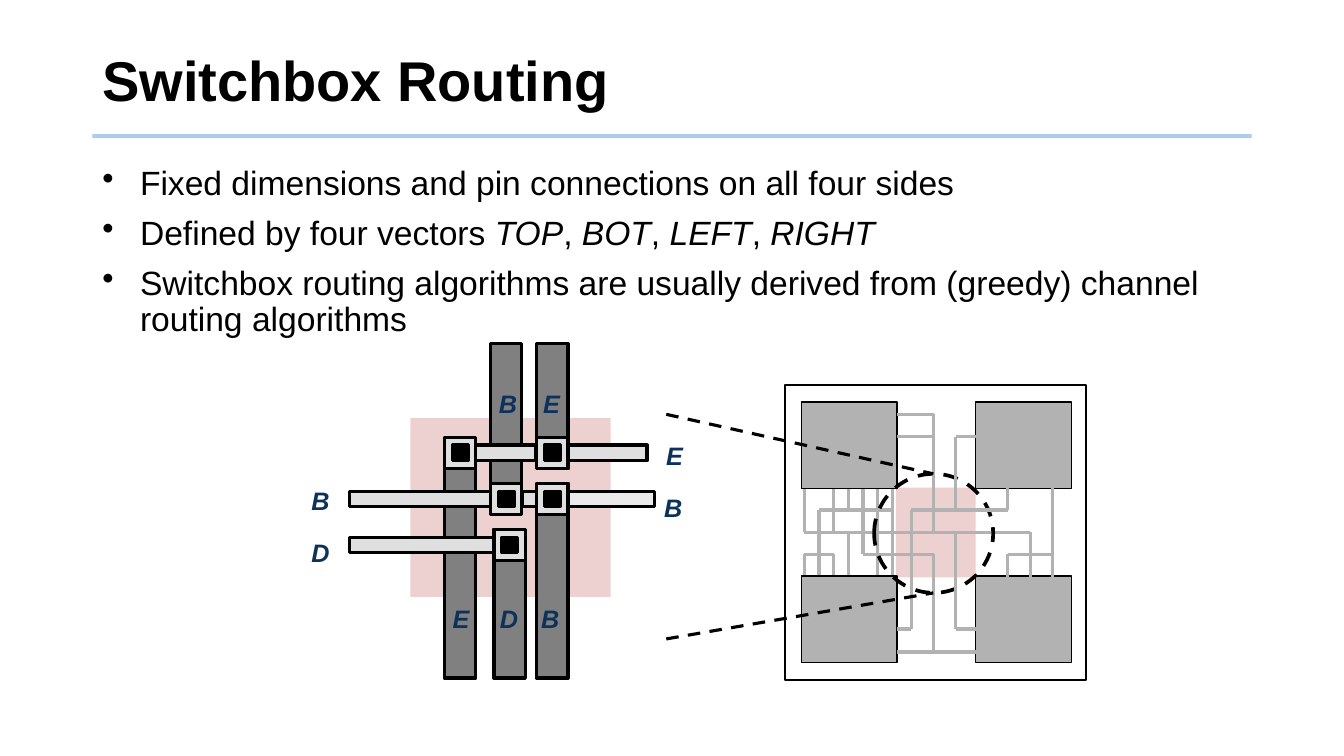
from itertools import pairwise, product

from pptx import Presentation
from pptx.dml.color import RGBColor
from pptx.enum.dml import MSO_LINE
from pptx.enum.shapes import MSO_CONNECTOR, MSO_SHAPE
from pptx.enum.text import MSO_ANCHOR as ANCHOR
from pptx.oxml.xmlchemy import OxmlElement
from pptx.util import Cm, Pt

BLACK = RGBColor(0x00, 0x00, 0x00)
RULE_BLUE = RGBColor(0x5B, 0x9B, 0xD5)
LABEL_BLUE = RGBColor(0x0C, 0x32, 0x5C)
PINK = RGBColor(0xED, 0xD1, 0xD1)
COLUMN_GRAY = RGBColor(0x80, 0x80, 0x80)
RAIL_GRAY = RGBColor(0xDF, 0xDF, 0xDF)
PALE_GRAY = RGBColor(0xEA, 0xEA, 0xEA)
WIRE_GRAY = RGBColor(0xB2, 0xB2, 0xB2)

BULLETS = [
    ["Fixed dimensions and pin connections on all four sides"],
    ["Defined by four vectors ", "TOP", ", ", "BOT", ", ", "LEFT", ", ", "RIGHT"],
    ["Switchbox routing algorithms are usually derived from (greedy) channel routing algorithms"],
]

LOCAL_ROUTES = [
    [(0, 6), (0, 5), (2, 5), (2, 6)],
    [(0, 2), (0, 4), (13, 4)],
    [(1, 6), (1, 3), (6, 3)],
    [(2, 4), (2, 2)],
    [(3, 3), (3, 2)],
    [(3, 4), (3, 6)],
    [(4, 2), (4, 5), (9, 5)],
    [(5, 2), (5, 6)],
    [(6, 2), (6, 6)],
]
GLOBAL_ROUTES = [
    [(7, 7), (8, 7), (8, 3), (12, 3), (12, 2)],
    [(10, 3), (10, 1), (11, 1)],
    [(9, 4), (9, 0), (7, 0)],
    [(9, 1), (7, 1)],
    [(9, 5), (9, 8)],
    [(7, 8), (11, 8)],
    [(10, 4), (10, 7), (11, 7)],
    [(13, 4), (13, 6)],
    [(12, 6), (12, 5), (14, 5)],
    [(14, 2), (14, 6)],
]


def add_bullet(paragraph):
    """Give a paragraph a hanging round bullet."""
    properties = paragraph._p.get_or_add_pPr()
    properties.set("marL", str(Cm(0.95)))
    properties.set("indent", str(-Cm(0.95)))
    bullet = OxmlElement("a:buChar")
    bullet.set("char", "•")
    properties.append(bullet)


def add_text(slide, box, paragraphs, size, color=BLACK, bold=False, italic=False,
             bullets=False, wrap=True, anchor=ANCHOR.TOP, spacing=None, inset=0.25):
    """Add a text box; every second run of a paragraph is italic."""
    frame = slide.shapes.add_textbox(*map(Cm, box)).text_frame
    frame.word_wrap = wrap
    frame.vertical_anchor = anchor
    frame.margin_left = frame.margin_right = Cm(inset)
    for index, runs in enumerate(paragraphs):
        paragraph = frame.add_paragraph() if index else frame.paragraphs[0]
        if bullets:
            add_bullet(paragraph)
        paragraph.line_spacing = spacing
        paragraph.space_before = Pt(10 if index else 0)
        for position, text in enumerate(runs):
            run = paragraph.add_run()
            run.text = text
            font = run.font
            font.name, font.size, font.bold = "Arial", Pt(size), bold
            font.italic = italic or position % 2 == 1
            font.color.rgb = color


def add_block(slide, box, fill=None, outline=None, kind=MSO_SHAPE.RECTANGLE, dash=None):
    """Add a flat shape; the outline is a width in points."""
    shape = slide.shapes.add_shape(kind, *map(Cm, box))
    shape.shadow.inherit = False
    if fill is None:
        shape.fill.background()
    else:
        shape.fill.solid()
        shape.fill.fore_color.rgb = fill
    if outline is None:
        shape.line.fill.background()
    else:
        shape.line.color.rgb = BLACK
        shape.line.width = Pt(outline)
        shape.line.dash_style = dash


def add_line(slide, start, end, color, width=2.25, dash=None):
    """Add a straight connector without a shadow."""
    connector = slide.shapes.add_connector(MSO_CONNECTOR.STRAIGHT, *map(Cm, (*start, *end)))
    connector.line.color.rgb = color
    connector.line.width = Pt(width)
    connector.line.dash_style = dash
    connector._element.spPr.append(OxmlElement("a:effectLst"))
    return connector


def add_heading(slide, left, top, width, height):
    """Place the title and the half-transparent rule under it."""
    rule_y = top + height - 0.08
    rule = add_line(slide, (left, rule_y), (left + width, rule_y), RULE_BLUE, 3)
    alpha = OxmlElement("a:alpha")
    alpha.set("val", "50000")
    rule._element.spPr.find(".//{*}srgbClr").append(alpha)
    add_text(slide, (left, top, width, height), [["Switchbox Routing"]], 40,
             bold=True, anchor=ANCHOR.MIDDLE, spacing=0.9)


def add_switchbox(slide, left, top, width, height):
    """Draw the enlarged switchbox with its columns, rails, vias and labels."""
    pad, core, inset = 0.79, 0.39, 0.2
    columns = [3.63 + 1.16 * index for index in range(3)]
    rows = [2.36 + 1.16 * index for index in range(3)]
    shifted = 4.88

    def block(x, y, block_width, block_height, fill, outline=2.5):
        add_block(slide, (left + x, top + y, block_width, block_height), fill, outline)

    block(2.77, 1.88, 5.05, 4.5, PINK, None)
    for x, start, end in [
        (shifted, rows[2], height), (columns[2], rows[1], height),
        (columns[2], 0, rows[0] + pad), (columns[1], 0, rows[1] + pad),
        (columns[0], rows[0], height),
    ]:
        block(x, start, pad, end - start, COLUMN_GRAY)
    for x, row, length, fill in [
        (1.24, 2, 3.96, RAIL_GRAY), (1.24, 1, 3.89, RAIL_GRAY),
        (5.59, 1, 0.38, RAIL_GRAY), (6.76, 1, 2.16, PALE_GRAY),
        (4.39, 0, 1.55, RAIL_GRAY), (6.73, 0, 2.01, RAIL_GRAY),
    ]:
        block(x, rows[row] + inset, length, core, fill)
    for x, row in [(columns[0], 0), (columns[2], 0), (columns[1], 1),
                   (columns[2], 1), (shifted, 2)]:
        block(x, rows[row], pad, pad, RAIL_GRAY)
        block(x + inset, rows[row] + inset, core, core, BLACK)
    for name, x, y in [
        ("B", 4.72, 0.99), ("E", 5.84, 0.99), ("E", width - 0.96, 2.31),
        ("B", width - 1.01, 3.61), ("B", 0, 3.45), ("D", 0, 4.75),
        ("E", 3.56, 6.43), ("D", 4.75, 6.43), ("B", 5.79, 6.43),
    ]:
        add_text(slide, (left + x, top + y, 0.97, 0.99), [[name]], 18, LABEL_BLUE,
                 bold=True, italic=True, wrap=False, inset=0.28)


def add_chip(slide, left, top, width, height):
    """Draw the chip with four macros, its wires and the marked switchbox."""
    tracks_x = [0.48 + 0.37 * index for index in range(7)]
    tracks_x += [2.82, 3.18, 3.74, 4.3, 4.84, 5.61, 6.17, 6.73]
    tracks_y = [0.74, 1.3, *(2.59 + 0.56 * index for index in range(5)), 6.15, 6.73]

    def draw_routes(routes):
        for route in routes:
            points = [(left + tracks_x[x], top + tracks_y[y]) for x, y in route]
            for start, end in pairwise(points):
                add_line(slide, start, end, WIRE_GRAY)

    add_block(slide, (left + 2.79, top + 2.59, 2.01, 2.26), PINK)
    draw_routes(LOCAL_ROUTES)
    for column, row in product(range(2), repeat=2):
        macro = (left + 0.41 + 4.39 * column, top + 0.43 + 4.39 * row, 2.41, 2.18)
        add_block(slide, macro, WIRE_GRAY, 1)
    add_block(slide, (left + 2.24, top + 2.24, 3, 3), None, 2.63, MSO_SHAPE.OVAL, MSO_LINE.DASH)
    draw_routes(GLOBAL_ROUTES)
    add_block(slide, (left, top, width, height), None, 1.5)


def add_zoom_lines(slide, left, top, width, height):
    """Draw the two dashed lines that lead from the detail to the circle."""
    right = left + width
    add_line(slide, (left, top + height), (right, top + 4.5), BLACK, dash=MSO_LINE.DASH)
    add_line(slide, (left, top), (right, top + 1.5), BLACK, dash=MSO_LINE.DASH)


def main():
    """Build the slide and save it."""
    presentation = Presentation()
    presentation.slide_width, presentation.slide_height = Cm(33.87), Cm(19.05)
    slide = presentation.slides.add_slide(presentation.slide_layouts[6])
    add_heading(slide, 2.33, 0.71, 29.21, 2.8)
    add_text(slide, (2.33, 4.06, 29.21, 13.08), BULLETS, 24, bullets=True, spacing=0.9)
    add_switchbox(slide, 7.57, 8.66, 9.9, 8.43)
    add_chip(slide, 19.79, 9.7, 7.59, 7.44)
    add_zoom_lines(slide, 16.79, 10.44, 6.73, 5.66)
    presentation.save("out.pptx")


if __name__ == "__main__":
    main()
